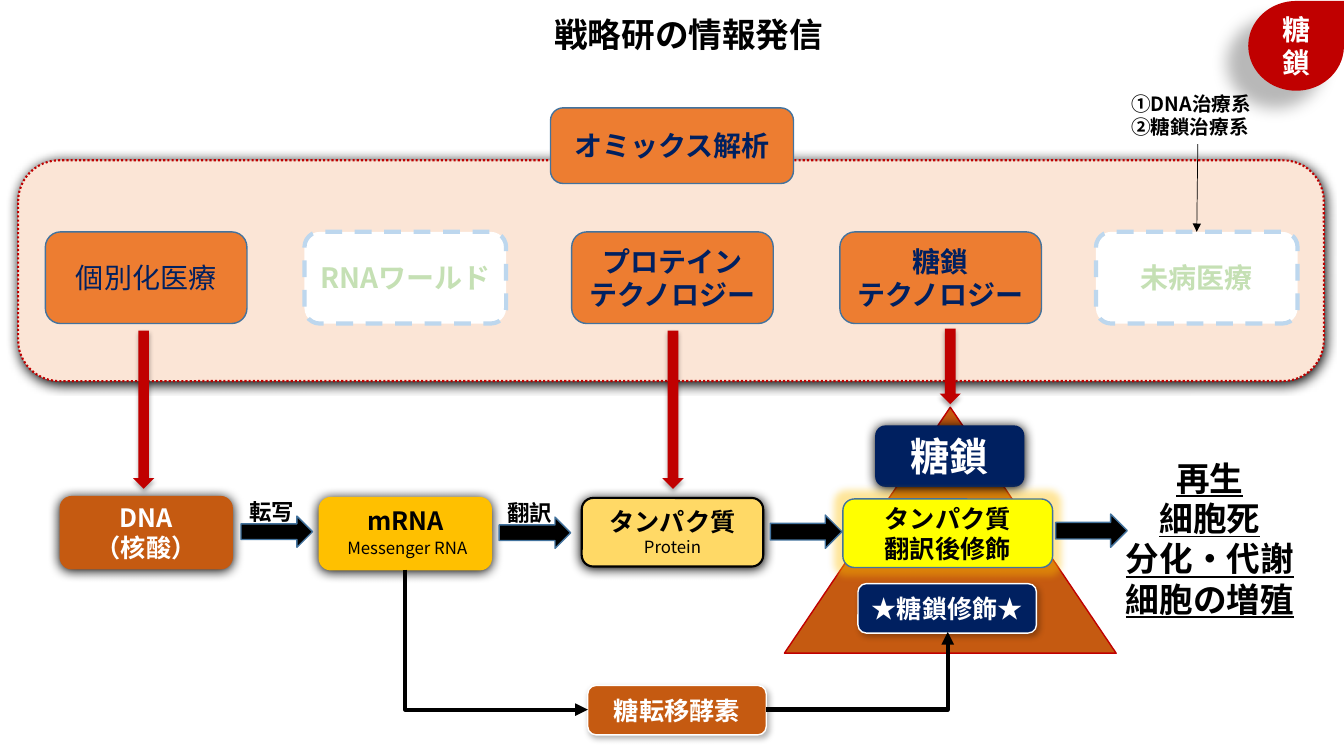
from lxml.etree import SubElement
from pptx import Presentation
from pptx.dml.color import RGBColor
from pptx.enum.dml import MSO_LINE as Dash
from pptx.enum.shapes import MSO_CONNECTOR as Connector, MSO_SHAPE as Preset
from pptx.enum.text import MSO_ANCHOR as Anchor, PP_ALIGN as Align
from pptx.oxml.ns import qn
from pptx.util import Inches, Pt

FONT = "Noto Sans CJK JP"
BLACK = RGBColor(0x00, 0x00, 0x00)
WHITE = RGBColor(0xFF, 0xFF, 0xFF)
RED = RGBColor(0xC0, 0x00, 0x00)
PEACH = RGBColor(0xFB, 0xE5, 0xD6)
BROWN = RGBColor(0xC5, 0x5A, 0x11)
NAVY = RGBColor(0x00, 0x20, 0x60)
SAND = RGBColor(0xFF, 0xD9, 0x66)
YELLOW = RGBColor(0xFF, 0xFF, 0x00)
GOLD = RGBColor(0xFF, 0xC0, 0x00)
ORANGE = RGBColor(0xED, 0x7D, 0x31)
STEEL = RGBColor(0x43, 0x73, 0x9E)
PALE_BLUE = RGBColor(0xBD, 0xD7, 0xEE)
PALE_GREEN = RGBColor(0xC5, 0xE0, 0xB4)

BADGE_SHADOW = (28, 11.8, 19.7, 141)
DEEP_SHADOW = (100, 8.5, 1, 90)
SOFT_SHADOW = (30, 4.5, 2.6, 53)
ARROW_SHADOW = (32, 3.5, 2.2, 90)
STEEL_LINE = (STEEL, 1, None)
WHITE_LINE = (WHITE, 1, None)
PALE_LINE = (PALE_BLUE, 3, Dash.DASH)


def inches(values):
    return [Inches(value) for value in values]


def write(shape, lines, size, color, bold=True, font=FONT, align=Align.CENTER,
          anchor=Anchor.MIDDLE, underline=None):
    frame = shape.text_frame
    frame.word_wrap = True
    frame.vertical_anchor = anchor
    frame.text = "\n".join(lines)
    for paragraph in frame.paragraphs:
        paragraph.alignment = align
        style = paragraph.font
        style.size, style.bold, style.underline = Pt(size), bold, underline
        style.name = font
        style.color.rgb = color
        latin = style._element.find(qn("a:latin"))
        east_asian = latin.makeelement(qn("a:ea"), {"typeface": font})
        latin.addnext(east_asian)


def add_effect(shape, kind, color, opacity, **attributes):
    effects = shape._element.spPr.find(qn("a:effectLst"))
    effect = SubElement(effects, qn(kind), attributes)
    tint = SubElement(effect, qn("a:srgbClr"), val=str(color))
    SubElement(tint, qn("a:alpha"), val=str(opacity * 1000))


def add_block(slide, preset, box, fill, line=None, shadow=None):
    shape = slide.shapes.add_shape(preset, *inches(box))
    shape.shadow.inherit = False
    shape.fill.solid()
    shape.fill.fore_color.rgb = fill
    if line:
        color, width, dash = line
        shape.line.color.rgb = color
        shape.line.width = Pt(width)
        shape.line.dash_style = dash
    else:
        shape.line.fill.background()
    if shadow:
        opacity, blur, distance, angle = shadow
        add_effect(shape, "a:outerShdw", BLACK, opacity, blurRad=str(Pt(blur)),
                   dist=str(Pt(distance)), dir=str(angle * 60000), rotWithShape="0")
    return shape


def add_box(slide, box, lines, size, fill, color=WHITE, line=None, shadow=None, **style):
    shape = add_block(slide, Preset.ROUNDED_RECTANGLE, box, fill, line, shadow)
    write(shape, lines, size, color, **style)
    return shape


def add_label(slide, box, lines, size, **style):
    label = slide.shapes.add_textbox(*inches(box))
    write(label, lines, size, BLACK, anchor=Anchor.TOP, **style)


def add_arrow_line(slide, kind, ends, width):
    connector = slide.shapes.add_connector(kind, *inches(ends))
    connector.line.color.rgb = BLACK
    connector.line.width = Pt(width)
    properties = connector._element.spPr
    SubElement(properties.find(qn("a:ln")), qn("a:tailEnd"), type="triangle")
    SubElement(properties, qn("a:effectLst"))
    return properties


def add_corner_arrow(slide, ends, turn=0):
    properties = add_arrow_line(slide, Connector.ELBOW, ends, 3)
    properties.find(qn("a:prstGeom")).set("prst", "bentConnector2")
    properties.find(qn("a:xfrm")).set("rot", str(turn * 60000))


def add_title(slide):
    title = slide.shapes.title
    title.left, title.top, title.width, title.height = inches((5.06, 0.09, 3.54, 0.5))
    write(title, ["戦略研の情報発信"], 24, BLACK)


def add_fields(slide):
    for left, lines in ((5.67, ["プロテイン", "テクノロジー"]), (8.33, ["糖鎖", "テクノロジー"])):
        add_box(slide, (left, 2.3, 2, 0.91), lines, 20, ORANGE, NAVY, STEEL_LINE)
    add_box(slide, (0.45, 2.3, 2, 0.91), ["個別化医療"], 20, ORANGE, NAVY, STEEL_LINE,
            bold=False, font="Calibri")
    for left, text in ((3.02, "RNAワールド"), (10.87, "未病医療")):
        add_box(slide, (left, 2.3, 2, 0.91), [text], 20, WHITE, PALE_GREEN, PALE_LINE)
    add_box(slide, (5.46, 1.07, 2.41, 0.75), ["オミックス解析"], 20, ORANGE, NAVY, STEEL_LINE)


def add_pathway(slide):
    add_block(slide, Preset.ISOSCELES_TRIANGLE, (7.78, 4.04, 3.29, 2.44), BROWN, (RED, 1, None))
    add_box(slide, (0.59, 4.92, 1.72, 0.73), ["DNA", "（核酸）"], 18, BROWN, shadow=DEEP_SHADOW)
    add_box(slide, (8.51, 5.79, 1.77, 0.49), ["★糖鎖修飾★"], 18, NAVY,
            line=WHITE_LINE, shadow=SOFT_SHADOW)
    add_box(slide, (8.68, 4.22, 1.48, 0.61), ["糖鎖"], 28, NAVY, shadow=DEEP_SHADOW)
    add_box(slide, (5.77, 4.94, 1.8, 0.68), ["タンパク質"], 18, SAND, BLACK,
            (BLACK, 1.5, None), DEEP_SHADOW, anchor=Anchor.TOP)
    modified = add_box(slide, (8.36, 4.95, 2.08, 0.68), ["タンパク質", "翻訳後修飾"], 18,
                       YELLOW, BLACK, STEEL_LINE)
    add_effect(modified, "a:glow", GOLD, 40, rad=str(Pt(11)))
    add_box(slide, (3.16, 4.93, 1.72, 0.73), ["mRNA"], 18, GOLD, BLACK,
            shadow=DEEP_SHADOW, anchor=Anchor.TOP)
    add_box(slide, (5.83, 6.8, 1.77, 0.49), ["糖転移酵素"], 18, BROWN,
            line=WHITE_LINE, shadow=SOFT_SHADOW)
    for left, top, height in ((2.39, 5.12, 0.31), (4.95, 5.13, 0.31),
                              (7.64, 5.11, 0.33), (10.47, 5.1, 0.33)):
        add_block(slide, Preset.RIGHT_ARROW, (left, top, 0.71, height), BLACK, STEEL_LINE)


def add_labels(slide):
    for left, top, text in ((3.2, 5.29, "Messenger RNA"), (5.83, 5.28, "Protein")):
        add_label(slide, (left, top, 1.68, 0.3), [text], 12, bold=False)
    for left, top, text in ((2.34, 4.89, "転写"), (4.9, 4.9, "翻訳")):
        add_label(slide, (left, top, 0.71, 0.37), [text], 16)
    add_label(slide, (10.98, 4.49, 2.04, 1.72),
              ["再生", "細胞死", "分化・代謝", "細胞の増殖"], 24, underline=True)
    add_label(slide, (11.12, 0.86, 1.76, 0.57), ["①DNA治療系", "②糖鎖治療系"], 14,
              align=Align.LEFT)


def add_links(slide):
    add_arrow_line(slide, Connector.STRAIGHT, (11.88, 1.43, 11.87, 2.3), 0.5)
    add_corner_arrow(slide, (5.62, 5.44, 4.23, 7.25), 270)
    add_corner_arrow(slide, (7.6, 7.04, 9.4, 6.27))
    for left, top, height in ((1.32, 3.28, 1.57), (6.57, 3.28, 1.57), (9.32, 3.26, 0.75)):
        add_block(slide, Preset.DOWN_ARROW, (left, top, 0.21, height), RED, shadow=ARROW_SHADOW)


def main():
    presentation = Presentation()
    presentation.slide_width, presentation.slide_height = inches((13.33, 7.5))
    slide = presentation.slides.add_slide(presentation.slide_layouts[5])
    add_title(slide)
    badge = add_block(slide, Preset.TEAR, (12.38, 0.01, 0.95, 0.89), RED, shadow=BADGE_SHADOW)
    write(badge, ["糖鎖"], 20, WHITE)
    panel = add_block(slide, Preset.ROUNDED_RECTANGLE, (0.18, 1.59, 12.95, 2.19), PEACH,
                      (RED, 1.5, Dash.ROUND_DOT), DEEP_SHADOW)
    panel.adjustments[0] = 0.185
    add_pathway(slide)
    add_labels(slide)
    add_fields(slide)
    add_links(slide)
    presentation.save("out.pptx")


if __name__ == "__main__":
    main()
